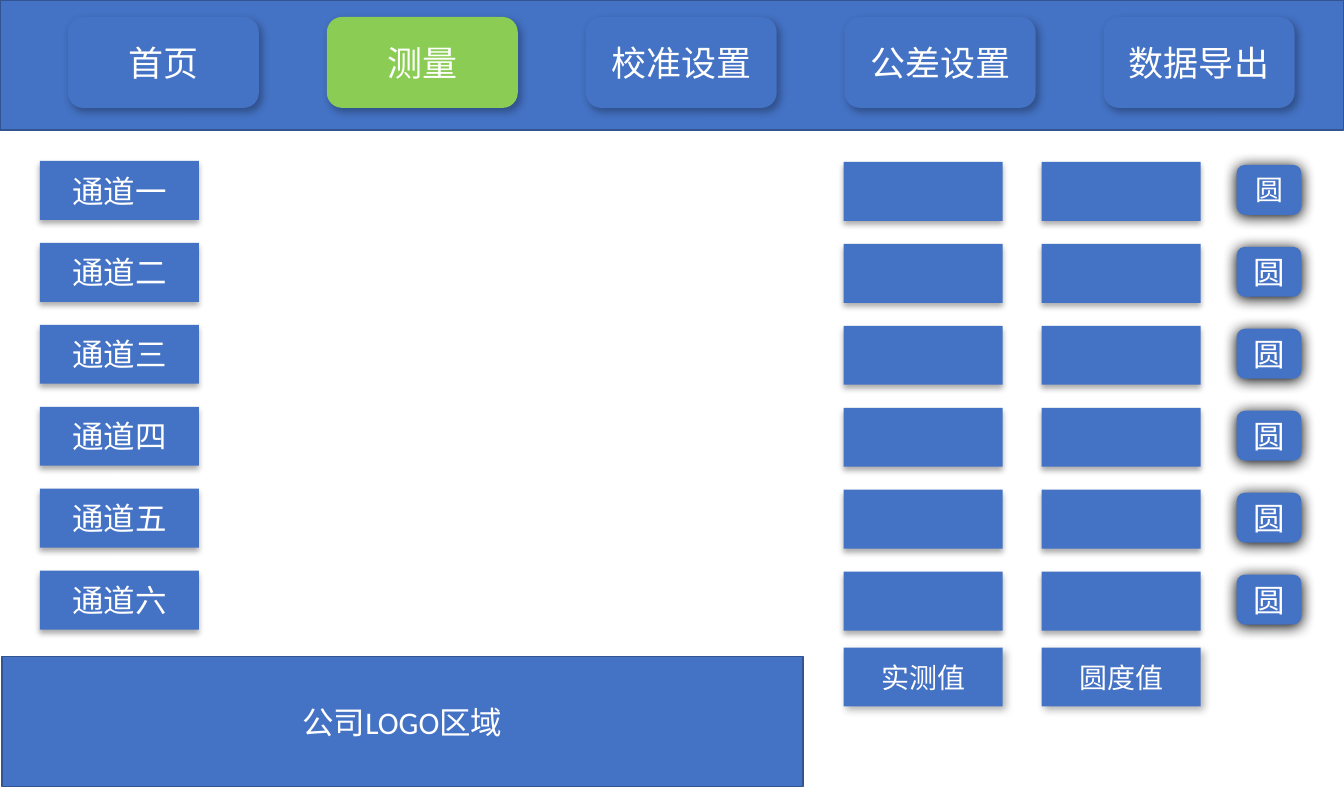
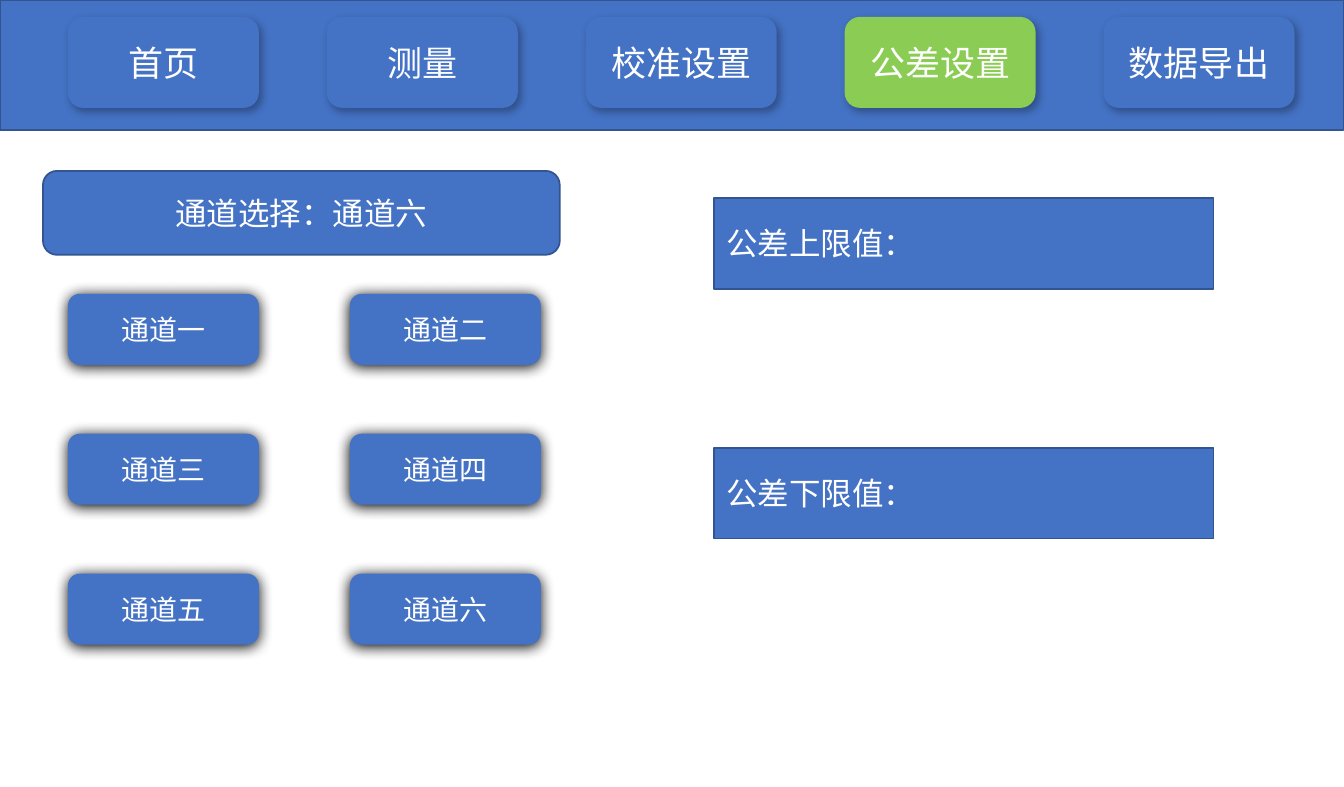
from lxml import etree
from pptx import Presentation
from pptx.dml.color import RGBColor
from pptx.enum.shapes import MSO_SHAPE
from pptx.enum.text import MSO_ANCHOR, PP_ALIGN
from pptx.oxml.ns import qn
from pptx.util import Emu, Inches, Pt

RECT, ROUND = MSO_SHAPE.RECTANGLE, MSO_SHAPE.ROUNDED_RECTANGLE
LEFT, CENTER, MIDDLE = PP_ALIGN.LEFT, PP_ALIGN.CENTER, MSO_ANCHOR.MIDDLE
BLUE, GREEN, EDGE, WHITE, BLACK = "4472C4", "8ACC54", "325491", "FFFFFF", "000000"
NOTO, LATIN = "Noto Sans CJK SC", "Calibri"
SCALE = 914400 / 126
WIDE, HIGH = Inches(10.67), Inches(6.25)

# Shadows: opacity in percent, blur and distance in points, angle in degrees
DROP, SOFT, GLOW = (32, 3.5, 2.2, 90), (30, 4.5, 2.6, 53), (100, 8.5, 1, 90)

TABS = ["首页", "测量", "校准设置", "公差设置", "数据导出"]
ROWS = ["通道一", "通道二", "通道三", "通道四", "通道五", "通道六"]
VALUES = [("实测值", 844), ("圆度值", 1042)]
LOGO = "公司LOGO区域"
ROUNDNESS = "圆"
CHOICE = "通道选择：通道六"
LIMITS = ["公差上限值：", "公差下限值："]


def px(size):
    return Emu(round(size * SCALE))


def rgb(code):
    return RGBColor.from_string(code)


def cast(shape, shadow):
    alpha, blur, dist, angle = shadow
    effects = shape._element.spPr.find(qn("a:effectLst"))
    outer = etree.SubElement(effects, qn("a:outerShdw"), blurRad=str(Pt(blur)),
                             dist=str(Pt(dist)), dir=str(angle * 60000))
    color = etree.SubElement(outer, qn("a:srgbClr"), val=BLACK)
    etree.SubElement(color, qn("a:alpha"), val=str(alpha * 1000))


def write(shape, text, size, font, align):
    frame = shape.text_frame
    frame.word_wrap = True
    frame.vertical_anchor = MIDDLE
    para = frame.paragraphs[0]
    para.text = text
    para.alignment = align
    para.font.size = Pt(size)
    para.font.name = font
    para.font.color.rgb = rgb(WHITE)
    props = para._p.pPr.find(qn("a:defRPr"))
    etree.SubElement(props, qn("a:ea"), typeface=NOTO)


def box(slide, kind, area, text="", size=18, font=NOTO, shadow=None,
        fill=BLUE, align=CENTER):
    shape = slide.shapes.add_shape(kind, *map(px, area))
    shape.fill.solid()
    shape.fill.fore_color.rgb = rgb(fill)
    shape.shadow.inherit = False
    if shadow:
        shape.line.fill.background()
        cast(shape, shadow)
    else:
        shape.line.color.rgb = rgb(EDGE)
        shape.line.width = Pt(1)
    if text:
        write(shape, text, size, font, align)


def page(deck, active):
    slide = deck.slides.add_slide(deck.slide_layouts[6])
    box(slide, RECT, (0, 0, 1344, 130))
    for i, tab in enumerate(TABS):
        fill = GREEN if tab == active else BLUE
        box(slide, ROUND, (68 + 259 * i, 17, 191, 91), tab, 20,
            shadow=SOFT, fill=fill)
    return slide


def measure(deck):
    slide = page(deck, "测量")
    for i, row in enumerate(ROWS):
        drop = 82 * i
        box(slide, RECT, (40, 161 + drop, 159, 59), row, font=LATIN, shadow=DROP)
        for _, left in VALUES:
            box(slide, RECT, (left, 162 + drop, 159, 59), shadow=DROP)
        box(slide, ROUND, (1237, 165 + drop, 65, 50), ROUNDNESS,
            18 if i else 16, shadow=GLOW)
    for name, left in VALUES:
        box(slide, RECT, (left, 648, 159, 59), name, 16, shadow=SOFT)
    box(slide, RECT, (2, 657, 801, 130), LOGO, font=LATIN)


def limits(deck):
    slide = page(deck, "公差设置")
    box(slide, ROUND, (43, 171, 517, 84), CHOICE)
    for i, name in enumerate(ROWS):
        row, col = divmod(i, 2)
        box(slide, ROUND, (68 + 282 * col, 294 + 140 * row, 191, 71), name, 16,
            shadow=GLOW)
    for i, name in enumerate(LIMITS):
        box(slide, RECT, (714, 198 + 250 * i, 500, 91), name, align=LEFT)


def main():
    """Build the measuring and tolerance screens and save them."""
    deck = Presentation()
    deck.slide_width, deck.slide_height = WIDE, HIGH
    measure(deck)
    limits(deck)
    deck.save("out.pptx")


main()
